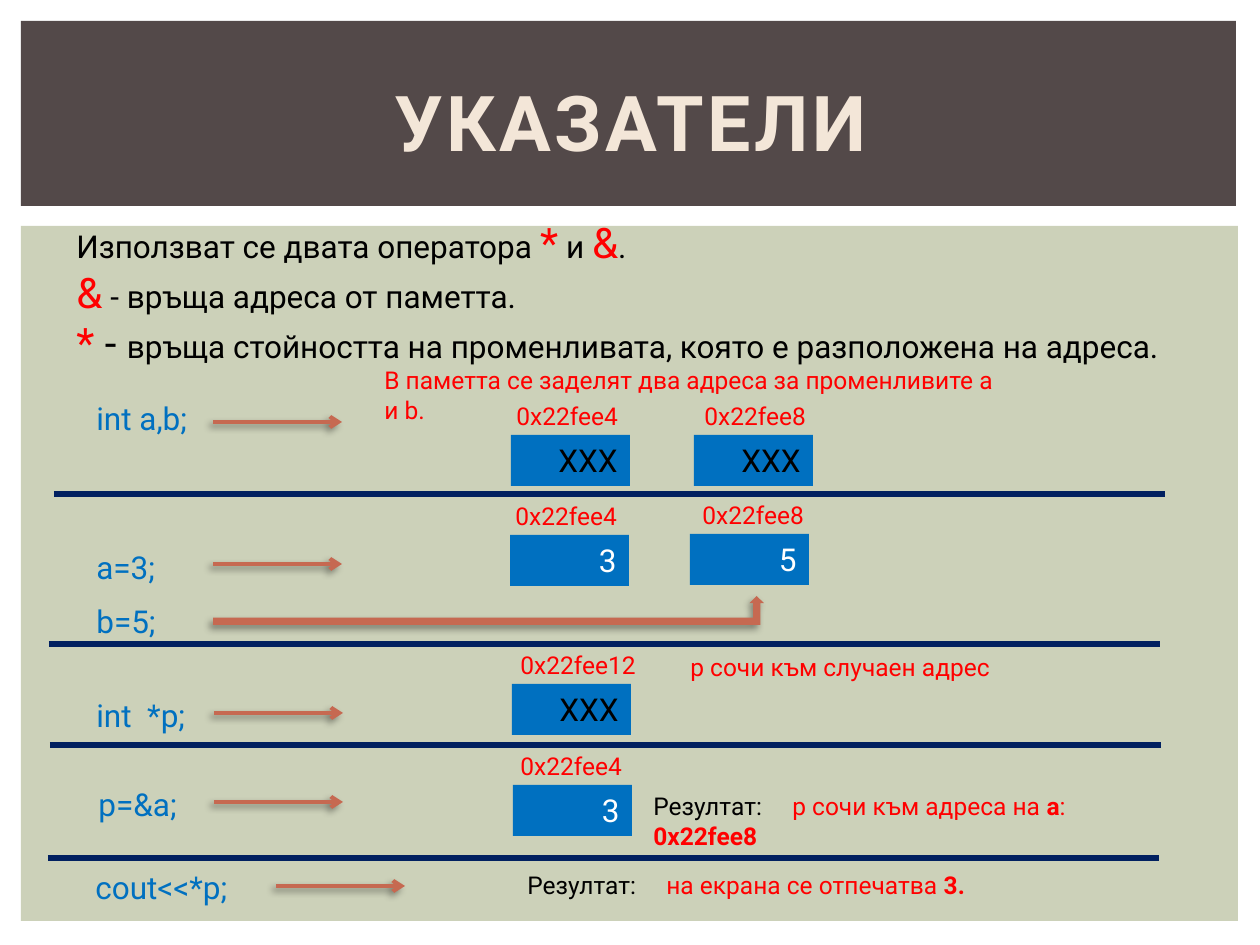
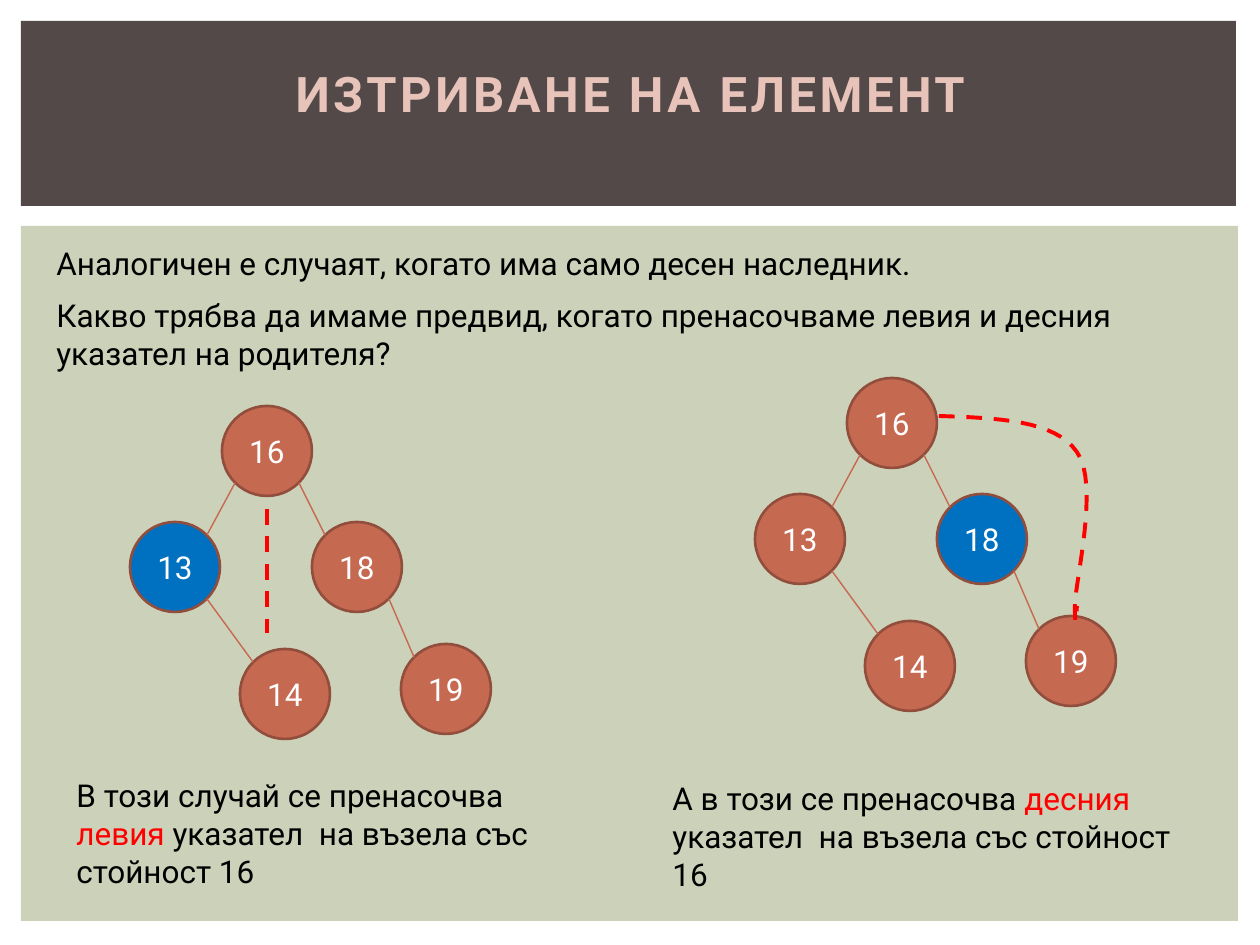
from lxml import etree
from pptx import Presentation
from pptx.dml.color import RGBColor
from pptx.enum.dml import MSO_LINE
from pptx.enum.shapes import MSO_CONNECTOR, MSO_SHAPE
from pptx.enum.text import MSO_ANCHOR, MSO_AUTO_SIZE, PP_ALIGN
from pptx.oxml.ns import qn
from pptx.util import Pt

PX = 7257  # EMU in one pixel, 126 pixels to the inch
FONT = "Roboto"
BAND, PANEL = "534949", "CCD1B9"
BLACK, WHITE, RED, BLUE = "000000", "FFFFFF", "FF0000", "0070C0"
NAVY, RUST, RUST_DARK = "002060", "C66951", "924E3C"
RECTANGLE, OVAL, BENT_ARROW = MSO_SHAPE.RECTANGLE, MSO_SHAPE.OVAL, MSO_SHAPE.BENT_UP_ARROW
STRAIGHT, DASH = MSO_CONNECTOR.STRAIGHT, MSO_LINE.DASH
LEFT, CENTER, RIGHT, JUSTIFY = PP_ALIGN.LEFT, PP_ALIGN.CENTER, PP_ALIGN.RIGHT, PP_ALIGN.JUSTIFY
TOP, MIDDLE = MSO_ANCHOR.TOP, MSO_ANCHOR.MIDDLE
colour = RGBColor.from_string


def style(shape, fill=None, line=None, width=0, dash=None, arrow=False, shadow=False):
    """Set fill, line, arrowhead and shadow of a shape or connector."""
    if fill:
        shape.fill.solid()
        shape.fill.fore_color.rgb = colour(fill)
    if line:
        shape.line.color.rgb = colour(line)
        shape.line.width = Pt(width)
        if dash:
            shape.line.dash_style = dash
    else:
        shape.line.fill.background()
    properties = shape.element.spPr
    if arrow:
        etree.SubElement(properties.find(qn("a:ln")), qn("a:tailEnd"), type="arrow")
    effects = etree.SubElement(properties, qn("a:effectLst"))
    if shadow:
        outer = etree.SubElement(effects, qn("a:outerShdw"), blurRad=str(Pt(4)),
                                 dist=str(Pt(3)), dir="8100000", rotWithShape="0")
        tint = etree.SubElement(outer, qn("a:srgbClr"), val=BLACK)
        etree.SubElement(tint, qn("a:alpha"), val="40000")


def write(shape, *paragraphs, align=LEFT, anchor=TOP, wrap=True, spacing=0, tab=0):
    """Write paragraphs of (text, size, colour[, bold]) runs into a shape."""
    frame = shape.text_frame
    frame.word_wrap = wrap
    frame.auto_size = MSO_AUTO_SIZE.NONE
    frame.vertical_anchor = anchor
    for number, runs in enumerate(paragraphs):
        paragraph = frame.add_paragraph() if number else frame.paragraphs[0]
        paragraph.alignment = align
        if tab:
            stops = etree.SubElement(paragraph._p.get_or_add_pPr(), qn("a:tabLst"))
            etree.SubElement(stops, qn("a:tab"), pos=str(tab * PX), algn="l")
        for text, size, ink, *bold in runs:
            run = paragraph.add_run()
            run.text = text
            run.font.name = FONT
            run.font.size = Pt(size)
            run.font.bold = bool(bold)
            run.font.color.rgb = colour(ink)
            if spacing:
                run._r.get_or_add_rPr().set("spc", str(spacing * 100))


presentation = Presentation()
presentation.slide_width = 1260 * PX
presentation.slide_height = 945 * PX
layout = presentation.slide_layouts[5]  # title only

# Slides and titles: text, size, colour, top, height, space kept free below
slides = []
for text, size, ink, top, height, below in (
    ("УКАЗАТЕЛИ", 44, "F3E6D8", 68, 106, 0),
    ("ИЗТРИВАНЕ НА ЕЛЕМЕНТ", 28, "E8C3B9", 49, 145, 57),
):
    slide = presentation.slides.add_slide(layout)
    title = slide.shapes.title
    title.left, title.top = 53 * PX, top * PX
    title.width, title.height = 1155 * PX, height * PX
    write(title, [(text, size, ink, True)], align=CENTER, anchor=MIDDLE, spacing=2)
    title.text_frame.margin_bottom = (6 + below) * PX
    slides.append(slide)
pointers, deletion = slides

# The shared panel and title band move to the layout, behind its placeholders
for top, width, height, fill in ((226, 1217, 695, PANEL), (21, 1215, 185, BAND)):
    band = pointers.shapes.add_shape(RECTANGLE, 21 * PX, top * PX, width * PX, height * PX)
    style(band, fill)
    layout.shapes.element.insert(2, band.element)

# Slide 1: pointers
shapes = pointers.shapes
operators = shapes.add_textbox(64 * PX, 210 * PX, 1121 * PX, 164 * PX)
write(
    operators,
    [("Използват се двата оператора ", 18, BLACK), ("*", 24, RED), (" и ", 18, BLACK),
     ("&", 24, RED), (". ", 18, BLACK)],
    [("&", 24, RED), (" - връща адреса от паметта. ", 18, BLACK)],
    [("* ", 24, RED), ("- ", 24, BLACK),
     ("връща стойността на променливата, която е разположена на адреса.", 18, BLACK)],
)
operators.text_frame.paragraphs[2].alignment = JUSTIFY

for text, left, top, width in (
    ("int a,b;", 84, 393, 129),
    ("a=3;", 84, 542, 129),
    ("b=5;", 84, 596, 129),
    ("int  *p;", 84, 690, 129),
    ("p=&a;", 86, 779, 129),
    ("cout<<*p;", 83, 862, 169),
):
    statement = shapes.add_textbox(left * PX, top * PX, width * PX, 50 * PX)
    write(statement, [(text, 18, BLUE)])

for left, y in ((213, 422), (213, 564), (214, 713), (214, 802), (276, 886)):
    arrow = shapes.add_connector(STRAIGHT, left * PX, y * PX, (left + 129) * PX, y * PX)
    style(arrow, line=RUST, width=2.25, arrow=True, shadow=True)

for left, y in ((54, 494), (49, 644), (50, 745), (48, 858)):
    divider = shapes.add_connector(STRAIGHT, left * PX, y * PX, (left + 1111) * PX, y * PX)
    style(divider, line=NAVY, width=3)

# Memory cells: left, top, value, colour, address and its left edge
for left, top, value, ink, address, address_left in (
    (511, 435, "XXX", BLACK, "0x22fee4", 504),
    (694, 435, "XXX", BLACK, "0x22fee8", 692),
    (510, 535, "3", WHITE, "0x22fee4", 503),
    (690, 534, "5", WHITE, "0x22fee8", 690),
    (512, 684, "XXX", BLACK, "0x22fee12", 508),
    (513, 785, "3", WHITE, "0x22fee4", 508),
):
    cell = shapes.add_shape(RECTANGLE, left * PX, top * PX, 119 * PX, 51 * PX)
    style(cell, BLUE)
    write(cell, [(value, 18, ink)], align=RIGHT)
    label = shapes.add_textbox(address_left * PX, (top - 40) * PX, 144 * PX, 43 * PX)
    write(label, [(address, 14, RED)])

for left, top, width, runs in (
    (372, 359, 645, [("В паметта се заделят два адреса за променливите a и b.", 14, RED)]),
    (678, 646, 417, [("p сочи към случаен адрес", 14, RED)]),
    (641, 785, 533, [("Резултат:\t", 14, BLACK), ("p сочи към адреса на ", 14, RED),
                     ("а", 14, RED, True), (": ", 14, RED), ("0x22fee8", 14, RED, True)]),
    (515, 864, 533, [("Резултат:\t", 14, BLACK), ("на екрана се отпечатва ", 14, RED),
                     ("3.", 14, RED, True)]),
):
    remark = shapes.add_textbox(left * PX, top * PX, width * PX, 43 * PX)
    write(remark, runs, tab=139)

assignment = shapes.add_shape(BENT_ARROW, 213 * PX, 596 * PX, 551 * PX, 29 * PX)
style(assignment, RUST, shadow=True)

# Slide 2: deleting an element
shapes = deletion.shapes
for left, top, width, height, runs in (
    (44, 238, 1160, 50, [("Аналогичен е случаят, когато има само десен наследник.", 18, BLACK)]),
    (44, 290, 1160, 89, [("Какво трябва да имаме предвид, когато пренасочваме левия и десния "
                          "указател на родителя? ", 18, BLACK)]),
    (64, 770, 525, 127, [("В този случай се пренасочва ", 18, BLACK), ("левия", 18, RED),
                         (" указател  на възела със стойност 16", 18, BLACK)]),
    (660, 773, 525, 127, [("А в този се пренасочва ", 18, BLACK), ("десния", 18, RED),
                          (" указател  на възела със стойност 16", 18, BLACK)]),
):
    note = shapes.add_textbox(left * PX, top * PX, width * PX, height * PX)
    write(note, runs)

# Both trees share node offsets from the root; edges join the circles' diagonal points
DIAMETER, NEAR, FAR = 90, 13, 77
nodes = {"16": (0, 0), "18": (90, 116), "13": (-92, 116), "14": (18, 243), "19": (179, 238)}
edges = (("16", "18"), ("16", "13"), ("13", "14"), ("18", "19"))
for root_left, root_top, deleted in ((222, 406, "13"), (847, 378, "18")):
    tree = shapes.add_group_shape().shapes
    for value, (x, y) in nodes.items():
        node = tree.add_shape(OVAL, (root_left + x) * PX, (root_top + y) * PX,
                              DIAMETER * PX, DIAMETER * PX)
        style(node, BLUE if value == deleted else RUST, RUST_DARK, 1.5)
        write(node, [(value, 18, WHITE)], align=CENTER, anchor=MIDDLE, wrap=False)
    for parent, child in edges:
        (x1, y1), (x2, y2) = nodes[parent], nodes[child]
        start, end = (FAR, NEAR) if x2 > x1 else (NEAR, FAR)
        edge = tree.add_connector(
            STRAIGHT, (root_left + x1 + start) * PX, (root_top + y1 + FAR) * PX,
            (root_left + x2 + end) * PX, (root_top + y2 + NEAR) * PX)
        style(edge, line=RUST, width=0.79)

# Redirected pointers: a straight one on the left, a curved one on the right
left_pointer = shapes.add_connector(STRAIGHT, 267 * PX, 509 * PX, 267 * PX, 633 * PX)
style(left_pointer, line=RED, width=2.25, dash=DASH)

STEPS = 16
curve = [(939, 416), (997, 418), (1055, 420), (1077, 452), (1100, 484),
         (1075, 581), (1075, 606), (1075, 633), (1076, 619), (1077, 606)]
points = []
for first in range(0, len(curve) - 1, 3):
    for step in range(1, STEPS + 1):
        t = step / STEPS
        weights = ((1 - t) ** 3, 3 * t * (1 - t) ** 2, 3 * t * t * (1 - t), t ** 3)
        points.append(tuple(
            sum(weight * point[axis] for weight, point in zip(weights, curve[first:first + 4])) * PX
            for axis in (0, 1)))
builder = shapes.build_freeform(curve[0][0] * PX, curve[0][1] * PX)
builder.add_line_segments(points, close=False)
right_pointer = builder.convert_to_shape()
right_pointer.fill.background()
style(right_pointer, line=RED, width=2.25, dash=DASH)

presentation.save("out.pptx")
